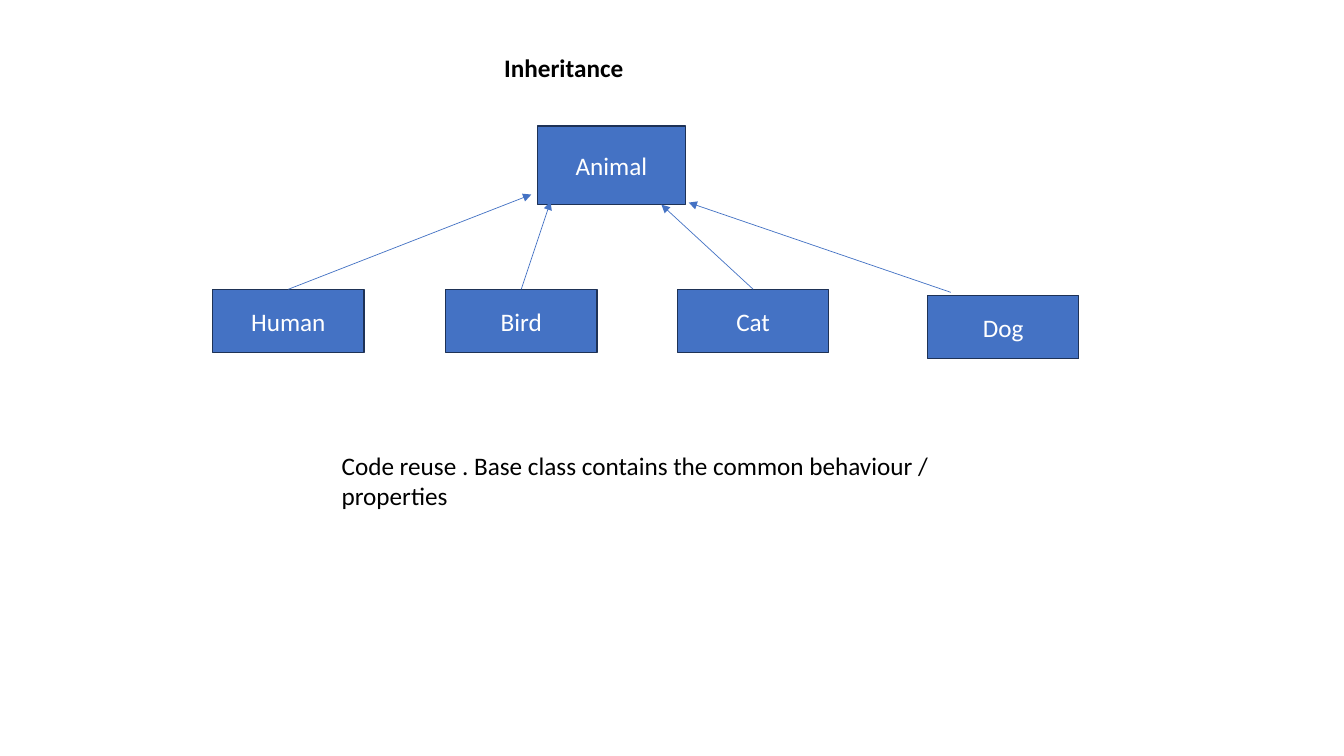
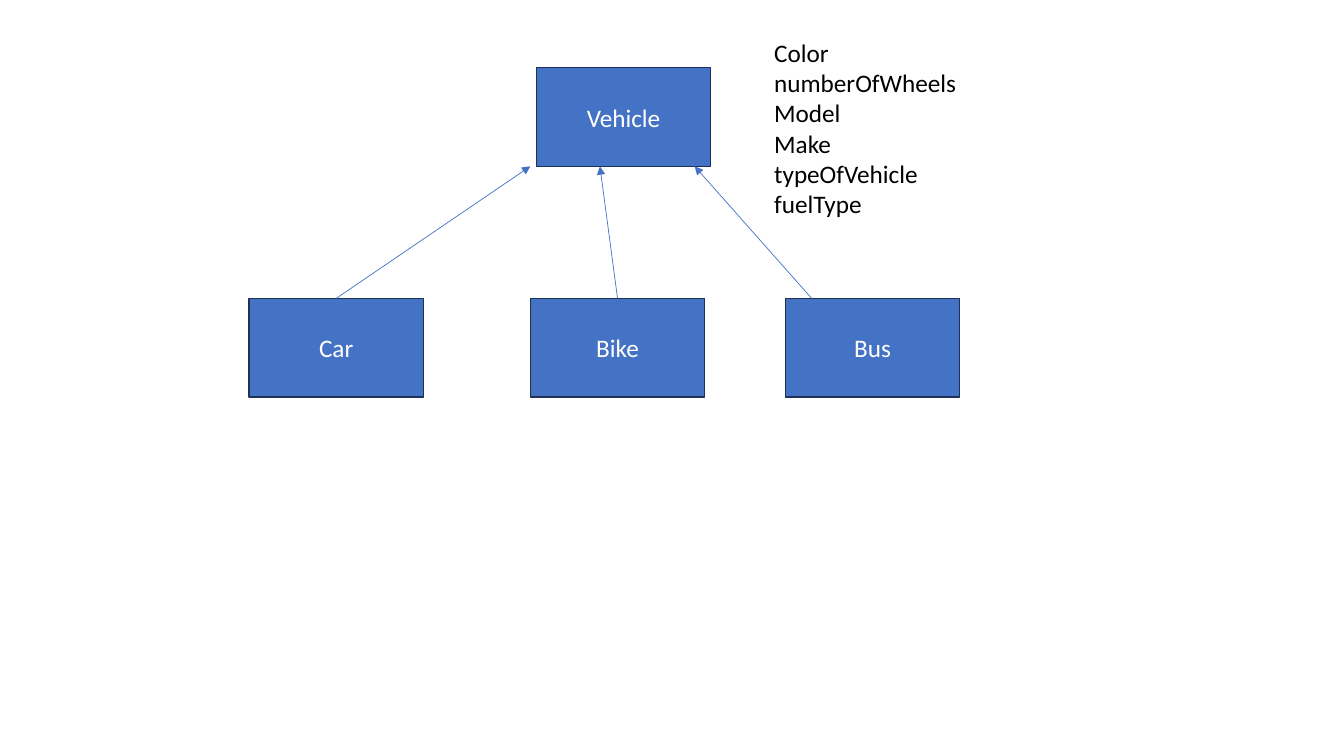
from lxml import etree
from pptx import Presentation
from pptx.dml.color import RGBColor
from pptx.enum.shapes import MSO_CONNECTOR, MSO_SHAPE
from pptx.enum.text import MSO_ANCHOR, MSO_AUTO_SIZE, PP_ALIGN
from pptx.oxml.ns import qn
from pptx.util import Inches, Pt

RECTANGLE = MSO_SHAPE.RECTANGLE
STRAIGHT = MSO_CONNECTOR.STRAIGHT
LEFT, CENTER = PP_ALIGN.LEFT, PP_ALIGN.CENTER
TOP, MIDDLE = MSO_ANCHOR.TOP, MSO_ANCHOR.MIDDLE
NO_AUTOFIT = MSO_AUTO_SIZE.NONE
TITLE_ONLY, BLANK = 5, 6


def rgb(value):
    return RGBColor.from_string(value)


def write(frame, text, *, color="000000", size=18, font="Calibri",
          bold=False, align=LEFT, anchor=TOP):
    """Fill a text frame, one paragraph for each line of text."""
    frame.word_wrap = True
    frame.auto_size = NO_AUTOFIT
    frame.vertical_anchor = anchor
    frame.text = text
    for paragraph in frame.paragraphs:
        paragraph.alignment = align
        paragraph.line_spacing = 1.0
        for run in paragraph.runs:
            run.font.name = font
            run.font.size = Pt(size)
            run.font.bold = bold
            run.font.color.rgb = rgb(color)


class ClassDiagramDeck:
    BLUE, OUTLINE, WHITE = "4472C4", "1E3256", "FFFFFF"

    def __init__(self):
        self.presentation = Presentation()
        self.presentation.slide_width = Inches(13.33)
        self.presentation.slide_height = Inches(7.5)
        self.slide = None

    def new_slide(self, layout):
        layouts = self.presentation.slide_layouts
        self.slide = self.presentation.slides.add_slide(layouts[layout])

    def title(self, text, left, top, width, height):
        heading = self.slide.shapes.title
        heading.left, heading.top = Inches(left), Inches(top)
        heading.width, heading.height = Inches(width), Inches(height)
        write(heading.text_frame, text, bold=True)

    def note(self, text, left, top, width, height):
        box = self.slide.shapes.add_textbox(
            Inches(left), Inches(top), Inches(width), Inches(height))
        write(box.text_frame, text)

    def class_box(self, name, left, top, width, height):
        box = self.slide.shapes.add_shape(
            RECTANGLE, Inches(left), Inches(top), Inches(width), Inches(height))
        box.shadow.inherit = False
        box.fill.solid()
        box.fill.fore_color.rgb = rgb(self.BLUE)
        box.line.color.rgb = rgb(self.OUTLINE)
        box.line.width = Pt(1)
        write(box.text_frame, name, color=self.WHITE, align=CENTER, anchor=MIDDLE)

    def arrow(self, start, end):
        points = [Inches(value) for value in (*start, *end)]
        line = self.slide.shapes.add_connector(STRAIGHT, *points)
        line.line.color.rgb = rgb(self.BLUE)
        line.line.width = Pt(0.5)
        outline = line.line._get_or_add_ln()
        etree.SubElement(outline, qn("a:tailEnd"), type="triangle")
        etree.SubElement(outline.getparent(), qn("a:effectLst"))

    def subclasses(self, children, width, height):
        """Draw each child box, then its arrow to the base class."""
        for name, left, top, _, _ in children:
            self.class_box(name, left, top, width, height)
        for _, left, top, start, end in children:
            self.arrow(start or (left + width / 2, top), end)


def main():
    deck = ClassDiagramDeck()

    # Animal hierarchy: name, left, top, arrow start (None: top centre), arrow end
    animals = [
        ("Human", 2.11, 2.87, None, (5.27, 1.93)),
        ("Bird", 4.42, 2.87, None, (5.46, 2)),
        ("Cat", 6.72, 2.87, None, (6.56, 2.03)),
        ("Dog", 9.2, 2.93, (9.43, 2.9), (6.83, 2.01)),
    ]
    deck.new_slide(TITLE_ONLY)
    deck.title("Inheritance", 4.9, 0.47, 4.03, 0.71)
    deck.class_box("Animal", 5.33, 1.25, 1.47, 0.78)
    deck.subclasses(animals, 1.5, 0.63)
    deck.note("Code reuse . Base class contains the common behaviour / properties",
              3.29, 4.42, 6.26, 0.71)

    # Vehicle hierarchy with the shared properties beside the base class
    width, height = 1.73, 0.98
    row_top, base_bottom = 2.96, 1.65
    vehicles = [
        ("Car", 2.47, row_top, None, (5.26, base_bottom)),
        ("Bike", 5.26, row_top, None, (5.95, base_bottom)),
        ("Bus", 7.79, row_top, (8.05, row_top), (6.89, base_bottom)),
    ]
    properties = ["Color", "numberOfWheels", "Model", "Make",
                  "typeOfVehicle", "fuelType"]
    deck.new_slide(BLANK)
    deck.class_box("Vehicle", 5.32, base_bottom - height, width, height)
    deck.subclasses(vehicles, width, height)
    deck.note("\n".join(properties), 7.58, 0.32, 2.85, 2.22)

    deck.presentation.save("out.pptx")


if __name__ == "__main__":
    main()
